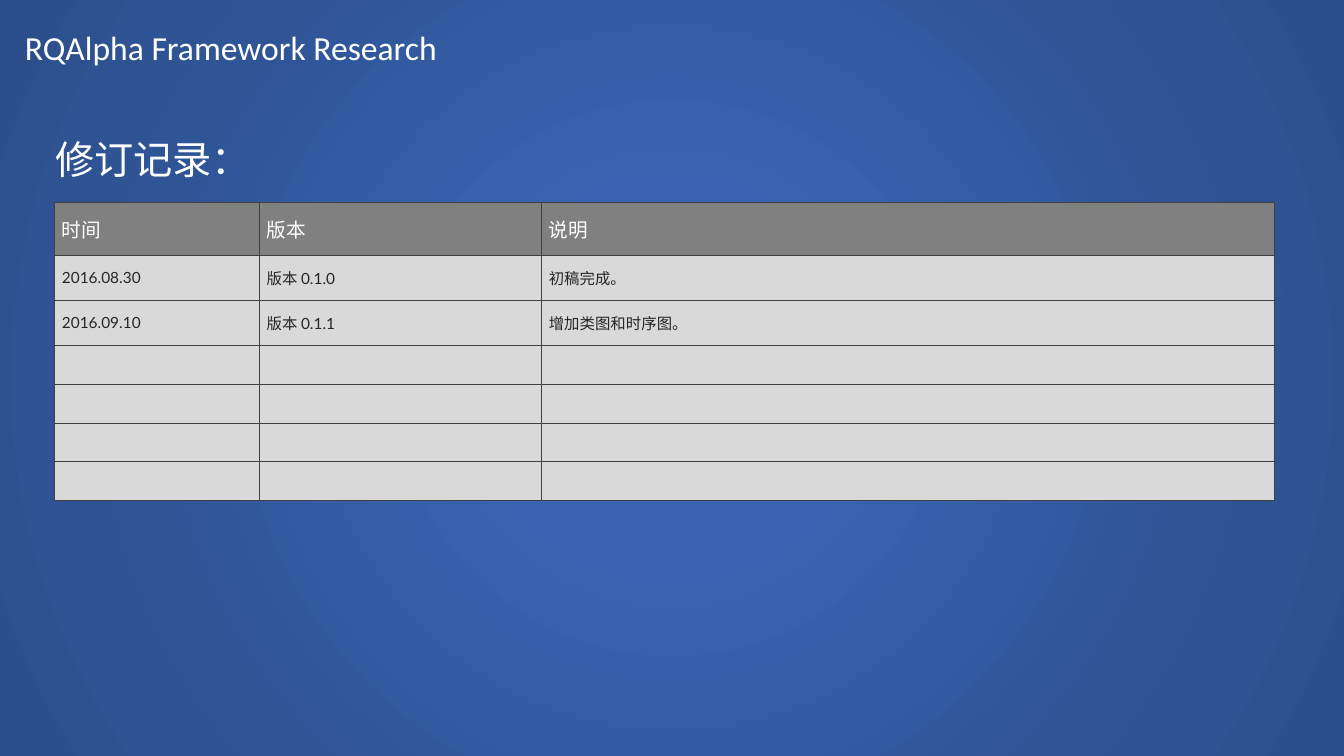
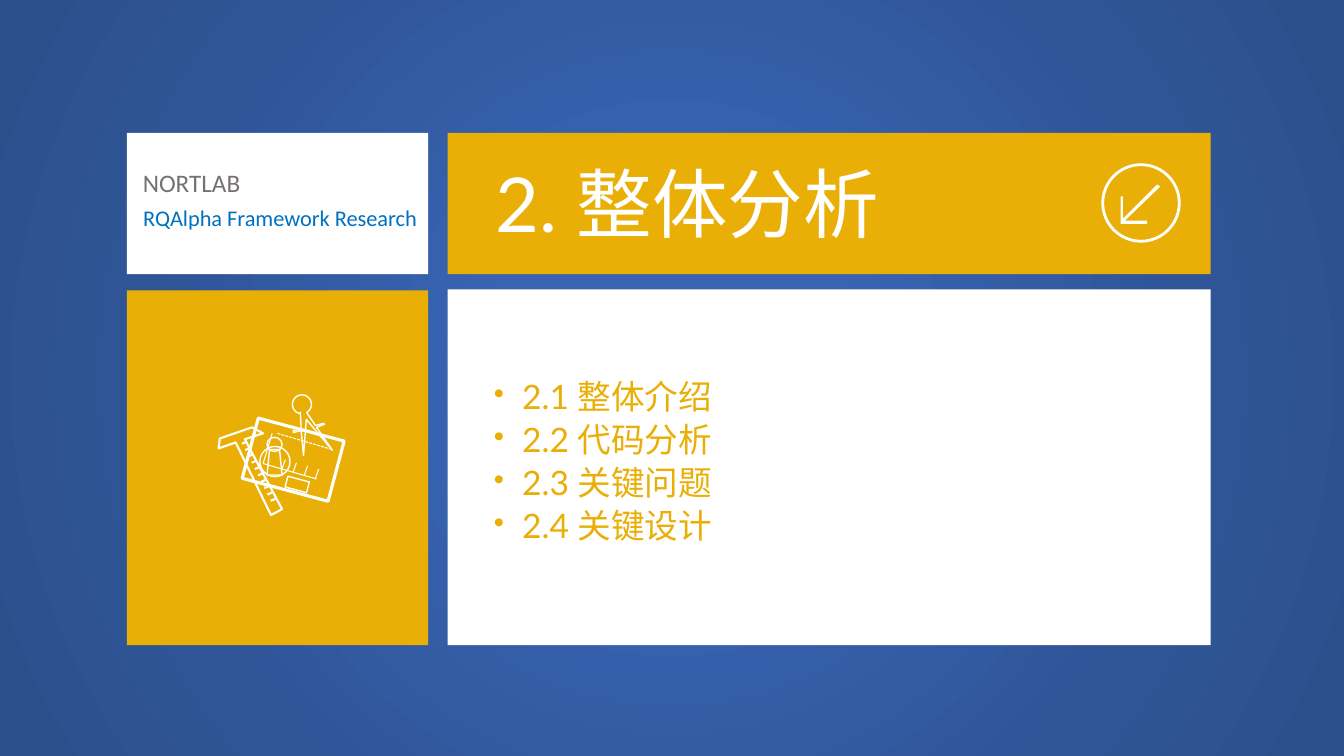
from math import cos, radians, sin

from pptx import Presentation
from pptx.dml.color import RGBColor
from pptx.enum.dml import MSO_LINE
from pptx.enum.lang import MSO_LANGUAGE_ID
from pptx.enum.shapes import MSO_CONNECTOR, MSO_SHAPE
from pptx.enum.text import MSO_ANCHOR, MSO_AUTO_SIZE, PP_ALIGN
from pptx.oxml import parse_xml
from pptx.oxml.ns import nsdecls, qn
from pptx.util import Cm, Pt

WIDTH, HEIGHT = 33.87, 19.05
WHITE = RGBColor(0xFF, 0xFF, 0xFF)
GOLD = RGBColor(0xEA, 0xAF, 0x07)
LINK_BLUE = RGBColor(0x00, 0x70, 0xC0)
WARM_GRAY = RGBColor(0x76, 0x71, 0x71)
HEADER_GRAY = RGBColor(0x80, 0x80, 0x80)
CELL_GRAY = RGBColor(0xD9, 0xD9, 0xD9)
BORDER_GRAY = RGBColor(0x40, 0x40, 0x40)
TEXT_DARK = RGBColor(0x26, 0x26, 0x26)
GLOW_BLUE = RGBColor(0x38, 0x64, 0xB3)
MID_BLUE = RGBColor(0x2F, 0x55, 0x97)
EDGE_BLUE = RGBColor(0x2C, 0x4F, 0x8C)
BACKDROP_STOPS = [(0, GLOW_BLUE), (23, GLOW_BLUE), (69, MID_BLUE), (97, EDGE_BLUE)]
LATO, CALIBRI = "Lato", "Calibri"
PROJECT = "RQAlpha Framework Research"


class Deck:
    """Holds the style, the current slide and the shape tree being drawn on."""

    def __init__(self):
        self.presentation = Presentation()
        self.presentation.slide_width = Cm(WIDTH)
        self.presentation.slide_height = Cm(HEIGHT)

    def new_slide(self):
        slide = self.presentation.slides.add_slide(self.presentation.slide_layouts[6])
        self.slide = slide
        self.shapes = slide.shapes
        self.backdrop()

    def start_group(self):
        """Send the following elements into a new group."""
        self.shapes = self.slide.shapes.add_group_shape().shapes

    def end_group(self):
        self.shapes = self.slide.shapes

    def backdrop(self):
        """Cover the slide with the radial blue gradient."""
        shape = self.shape(0, 0, WIDTH, HEIGHT)
        stops = "".join(
            f'<a:gs pos="{position * 1000}"><a:srgbClr val="{color}"/></a:gs>'
            for position, color in BACKDROP_STOPS)
        gradient = parse_xml(
            f'<a:gradFill {nsdecls("a")} rotWithShape="1"><a:gsLst>{stops}</a:gsLst>'
            '<a:path path="circle">'
            '<a:fillToRect l="50000" t="50000" r="50000" b="50000"/>'
            '</a:path></a:gradFill>')
        properties = shape.element.spPr
        properties.replace(properties.find(qn("a:noFill")), gradient)

    def paint(self, shape, fill, line, weight):
        shape.shadow.inherit = False
        if fill is None:
            shape.fill.background()
        else:
            shape.fill.solid()
            shape.fill.fore_color.rgb = fill
        if line is None:
            shape.line.fill.background()
        else:
            shape.line.color.rgb = line
            shape.line.width = Pt(weight)
        return shape

    def shape(self, left, top, width, height, kind=MSO_SHAPE.RECTANGLE,
              fill=None, line=None, weight=1, rotation=0):
        shape = self.shapes.add_shape(kind, Cm(left), Cm(top), Cm(width), Cm(height))
        shape.rotation = rotation
        return self.paint(shape, fill, line, weight)

    def outline(self, points, fill=None, line=None, weight=1):
        """Draw a closed polygon."""
        first, *others = [(Cm(x), Cm(y)) for x, y in points]
        builder = self.shapes.build_freeform(*first)
        builder.add_line_segments(others, close=True)
        return self.paint(builder.convert_to_shape(), fill, line, weight)

    def line(self, start, end, weight=0.75, dash=None):
        connector = self.shapes.add_connector(
            MSO_CONNECTOR.STRAIGHT, *(Cm(value) for value in (*start, *end)))
        connector.line.color.rgb = WHITE
        connector.line.width = Pt(weight)
        if dash is not None:
            connector.line.dash_style = dash
        connector.element.spPr.append(parse_xml(f'<a:effectLst {nsdecls("a")}/>'))

    def run(self, paragraph, text, size, color, font):
        run = paragraph.add_run()
        run.text = text
        run.font.name = font
        run.font.size = Pt(size)
        run.font.color.rgb = color
        if font == LATO:
            run.font.language_id = MSO_LANGUAGE_ID.SIMPLIFIED_CHINESE

    def text_frame(self, left, top, width, height):
        box = self.shapes.add_textbox(Cm(left), Cm(top), Cm(width), Cm(height))
        frame = box.text_frame
        frame.word_wrap = True
        frame.auto_size = MSO_AUTO_SIZE.SHAPE_TO_FIT_TEXT
        return frame

    def text(self, left, top, width, height, text, size, color=WHITE, font=LATO,
             align=PP_ALIGN.LEFT):
        paragraph = self.text_frame(left, top, width, height).paragraphs[0]
        paragraph.alignment = align
        self.run(paragraph, text, size, color, font)

    def bullets(self, left, top, width, height, items, size, color):
        frame = self.text_frame(left, top, width, height)
        frame.margin_left = frame.margin_right = Cm(0.18)
        frame.margin_top = frame.margin_bottom = Cm(0.18)
        for index, item in enumerate(items):
            paragraph = frame.add_paragraph() if index else frame.paragraphs[0]
            paragraph.line_spacing = 0.9
            paragraph.space_before = Pt(size * 0.2)
            properties = paragraph._p.get_or_add_pPr()
            properties.set("marL", str(Cm(0.71)))
            properties.set("indent", str(-Cm(0.71)))
            for tag, value in (("buSzPct", "90000"), ("buChar", "•")):
                attribute = "char" if tag == "buChar" else "val"
                properties.append(parse_xml(
                    f'<a:{tag} {nsdecls("a")} {attribute}="{value}"/>'))
            self.run(paragraph, item, size, color, LATO)

    def table(self, left, top, column_widths, row_heights, rows):
        """Draw a bordered table; rows beyond the given ones stay empty."""
        table = self.shapes.add_table(
            len(row_heights), len(column_widths), Cm(left), Cm(top),
            Cm(sum(column_widths)), Cm(sum(row_heights))).table
        table.first_row = table.horz_banding = False
        for column, width in zip(table.columns, column_widths):
            column.width = Cm(width)
        for row_index, height in enumerate(row_heights):
            table.rows[row_index].height = Cm(height)
            header = row_index == 0
            for cell in table.rows[row_index].cells:
                self.style_cell(cell, HEADER_GRAY if header else CELL_GRAY)
            if row_index < len(rows):
                for cell, text in zip(table.rows[row_index].cells, rows[row_index]):
                    self.run(cell.text_frame.paragraphs[0], text,
                             14 if header else 11, WHITE if header else TEXT_DARK, LATO)

    def style_cell(self, cell, fill):
        cell.fill.solid()
        cell.fill.fore_color.rgb = fill
        cell.vertical_anchor = MSO_ANCHOR.MIDDLE
        cell.margin_left = cell.margin_right = Cm(0.19)
        cell.margin_top = cell.margin_bottom = Cm(0.1)
        properties = cell._tc.get_or_add_tcPr()
        for index, side in enumerate("LRTB"):
            properties.insert(index, parse_xml(
                f'<a:ln{side} {nsdecls("a")} w="{Pt(1)}"><a:solidFill>'
                f'<a:srgbClr val="{BORDER_GRAY}"/></a:solidFill></a:ln{side}>'))


def draw_arrow_badge(deck):
    deck.shape(27.79, 4.15, 1.93, 1.93, MSO_SHAPE.OVAL, line=WHITE, weight=2)
    deck.outline([(28.91, 5.56), (28.91, 5.64), (28.24, 5.64), (28.24, 4.95),
                  (28.3, 4.95), (28.3, 5.51), (29.16, 4.65), (29.24, 4.7),
                  (28.35, 5.56)], fill=WHITE)


def draw_drafting_icon(deck):
    """Draw the plan with its figure, the compass and the T-square."""
    deck.start_group()
    deck.shape(6.73, 11.02, 0.38, 0.36, MSO_SHAPE.OVAL, line=WHITE)
    figure = deck.shape(6.73, 11.33, 0.38, 0.64, MSO_SHAPE.TRAPEZOID, line=WHITE)
    figure.adjustments[0] = 0.17
    deck.shape(6.27, 10.8, 2.24, 1.57, line=WHITE, weight=2.25, rotation=15)
    deck.shape(6.55, 11.25, 0.76, 0.76, MSO_SHAPE.OVAL, line=WHITE)
    deck.shape(7.21, 12.07, 0.56, 0.28, line=WHITE, rotation=15)

    axis_origin = (6.63, 11.68)
    deck.line(axis_origin, (7.98, 12.07))
    deck.line((6.86, 10.92), axis_origin)
    deck.line((6.99, 10.92), (8.38, 11.33), dash=MSO_LINE.SQUARE_DOT)
    for index in range(4):
        x, y = 7.11 + 0.28 * index, 11.81 + 0.08 * index
        deck.line((x, y), (x + 0.08, y - 0.23))

    compass_legs = [(7.57, 10.39), (7.59, 10.8), (7.39, 10.85), (7.39, 10.9),
                    (7.59, 10.85), (7.65, 11.48), (7.72, 10.57), (8.38, 11.35),
                    (7.98, 10.77), (8.18, 10.69), (8.15, 10.67), (7.95, 10.72)]
    compass_head = [(7.61 + 0.24 * cos(radians(angle)), 10.19 + 0.24 * sin(radians(angle)))
                    for angle in range(60, -260, -15)]
    deck.outline(compass_legs + compass_head, line=WHITE)

    deck.outline([(5.94, 11.15), (6.83, 12.98), (7.11, 12.83), (6.17, 11.07),
                  (6.63, 10.92), (6.35, 10.77), (5.54, 11.05), (5.51, 11.3)],
                 line=WHITE, weight=1.5)
    for index in range(10):
        x, y = 6.22 + 0.08 * index, 11.13 + 0.16 * index
        deck.line((x, y), (x - 0.12, y + 0.05), weight=1.5)
    deck.end_group()


def build_revision_slide(deck):
    deck.new_slide()
    deck.text(0.38, 0.56, 12.8, 1.27, PROJECT, 24, font=CALIBRI)
    deck.text(1.14, 3.28, 29.9, 1.45, "修订记录：", 28)
    deck.table(1.37, 5.11, [5.16, 7.11, 18.47],
               [1.32, 1.14, 1.14, 0.99, 0.97, 0.97, 0.97],
               [("时间", "版本", "说明"),
                ("2016.08.30", "版本 0.1.0", "初稿完成。"),
                ("2016.09.10", "版本 0.1.1", "增加类图和时序图。")])


def build_section_slide(deck):
    left, left_width = 3.2, 7.59
    right, right_width = 11.28, 19.23
    top, top_height = 3.35, 3.56
    deck.new_slide()
    deck.shape(right, top, right_width, top_height, fill=GOLD)
    draw_arrow_badge(deck)
    deck.text(12.24, 3.84, 11.81, 2.57, "2. 整体分析", 54)
    deck.shape(right, 7.29, right_width, 8.97, fill=WHITE)
    deck.shape(left, 7.32, left_width, 8.94, fill=GOLD)
    deck.bullets(12.27, 9.42, 16.48, 4.7,
                 ["2.1 整体介绍", "2.2 代码分析", "2.3 关键问题", "2.4 关键设计"], 24, GOLD)
    draw_drafting_icon(deck)
    deck.shape(left, top, left_width, top_height, fill=WHITE)
    deck.text(3.02, 5.03, 8.08, 0.94, PROJECT, 16, LINK_BLUE, CALIBRI, PP_ALIGN.CENTER)
    deck.text(3.35, 4.09, 5.72, 1.02, "NORTLAB", 18, WARM_GRAY, CALIBRI)


def main():
    deck = Deck()
    build_revision_slide(deck)
    build_section_slide(deck)
    deck.presentation.save("out.pptx")


if __name__ == "__main__":
    main()
